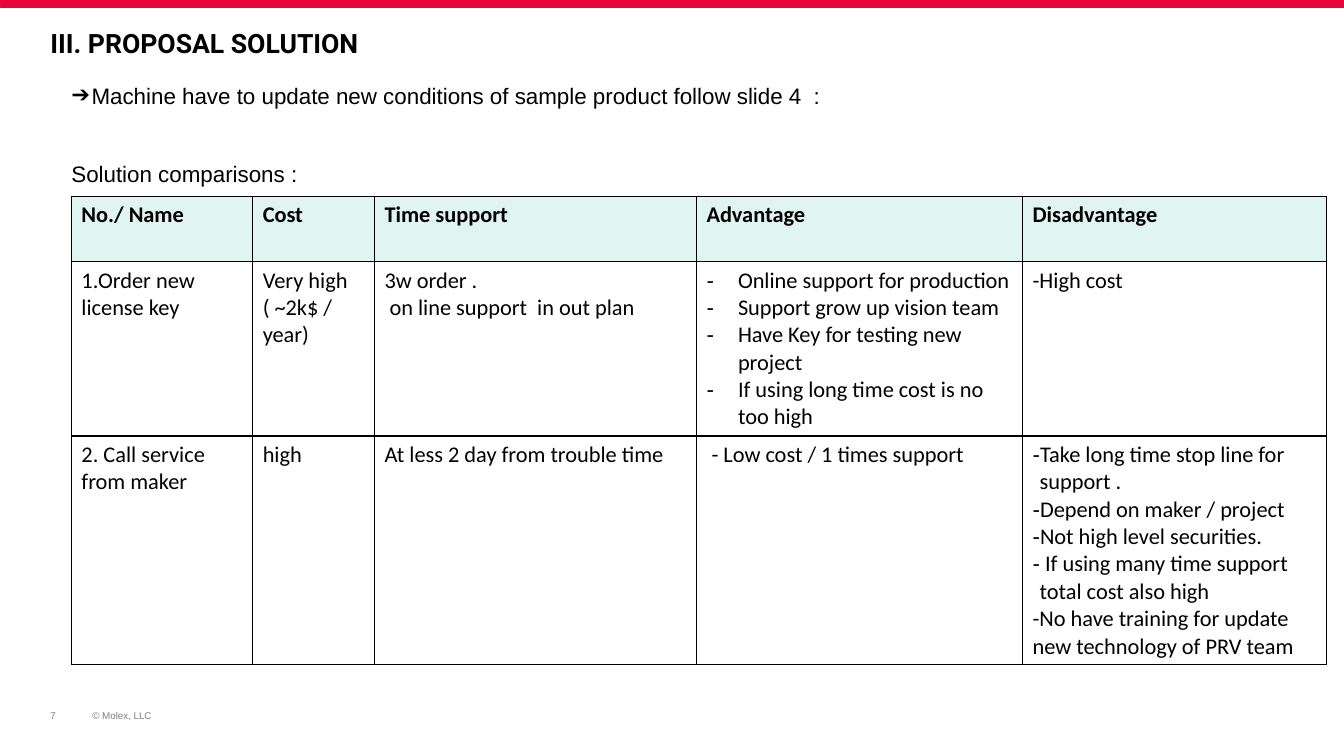
from dataclasses import dataclass

from lxml import etree
from pptx import Presentation
from pptx.dml.color import RGBColor
from pptx.enum.shapes import MSO_SHAPE
from pptx.enum.text import MSO_ANCHOR
from pptx.oxml.ns import qn
from pptx.util import Pt

RECTANGLE = MSO_SHAPE.RECTANGLE
TOP, MIDDLE, BOTTOM = MSO_ANCHOR.TOP, MSO_ANCHOR.MIDDLE, MSO_ANCHOR.BOTTOM
COLORS = {
    "accent": "EA0437",
    "text": "000000",
    "footer": "808080",
    "header": "E0F4F1",
    "border": "000000",
}


@dataclass(frozen=True)
class Style:
    font: str
    size: float
    color: str = "text"
    bold: bool = False


@dataclass(frozen=True)
class Bullet:
    mark: str
    indent: float
    tab: float = 0


@dataclass(frozen=True)
class Line:
    text: str
    bullet: Bullet | None = None


@dataclass(frozen=True)
class Label:
    line: Line
    box: tuple[float, float, float, float]
    style: Style
    anchor: MSO_ANCHOR = TOP
    spacing: float = 0
    after: float = 0
    insets: tuple[float, float, float, float] = (0, 0, 0, 0)


TITLE = Style("Roboto", 19, bold=True)
BODY = Style("Arial", 16)
FOOTER = Style("Arial", 7, "footer")
CELL = Style("Calibri", 16)
HEADING = Style("Calibri", 16, bold=True)

ARROW = Bullet("➔", 14.4)
DASH = Bullet("-", 22.5)
TIGHT_DASH = Bullet("-", 5, 22.5)

LABELS = [
    Label(Line("© Molex, LLC"), (66, 507, 360, 9), FOOTER),
    Label(Line("III. PROPOSAL SOLUTION"), (36, 16, 830, 26), TITLE, BOTTOM, spacing=20),
    Label(Line("7"), (36, 498, 30, 26), FOOTER, MIDDLE, insets=(0, 3.6, 7.2, 3.6)),
    Label(Line("Machine have to update new conditions of sample product follow slide 4  :", ARROW),
          (51, 58.5, 830, 39), BODY, after=6),
    Label(Line("Solution comparisons :"), (51, 114.5, 830, 39), BODY, after=6),
]

TABLE_LEFT, TABLE_TOP = 51, 140.4
COLUMN_WIDTHS = [129.5, 87, 230, 233, 217]
ROW_HEIGHTS = [46.5, 124.5, 163.5]
HEADINGS = ["No./ Name", "Cost", "Time support", "Advantage", "Disadvantage"]
SOLUTIONS = [
    [
        [Line("1.Order new license key")],
        [Line("Very high"), Line("( ~2k$ / year)")],
        [Line("3w order ."), Line(" on line support  in out plan")],
        [
            Line("Online support for production", DASH),
            Line("Support grow up vision team", DASH),
            Line("Have Key for testing new project", DASH),
            Line("If using long time cost is no too high", DASH),
        ],
        [Line("-High cost")],
    ],
    [
        [Line("2. Call service from maker")],
        [Line("high")],
        [Line("At less 2 day from trouble time")],
        [Line(" - Low cost / 1 times support")],
        [
            Line("Take long time stop line for support .", TIGHT_DASH),
            Line("Depend on maker / project", TIGHT_DASH),
            Line("Not high level securities.", TIGHT_DASH),
            Line(" If using many time support total cost also high", TIGHT_DASH),
            Line("-No have training for update new technology of PRV team"),
        ],
    ],
]


def rgb(name: str) -> RGBColor:
    return RGBColor.from_string(COLORS[name])


def apply(target, values: dict) -> None:
    for key, value in values.items():
        setattr(target, key, value)


def add_bullet(paragraph, bullet: Bullet) -> None:
    properties = paragraph._p.get_or_add_pPr()
    properties.set("marL", str(Pt(bullet.indent)))
    properties.set("indent", str(-Pt(bullet.indent)))
    color = etree.SubElement(properties, qn("a:buClr"))
    etree.SubElement(color, qn("a:srgbClr"), val=COLORS["text"])
    etree.SubElement(properties, qn("a:buFont"), typeface="Arial")
    etree.SubElement(properties, qn("a:buChar"), char=bullet.mark)
    if bullet.tab:
        tabs = etree.SubElement(properties, qn("a:tabLst"))
        etree.SubElement(tabs, qn("a:tab"), pos=str(Pt(bullet.tab)), algn="l")


def write_line(paragraph, line: Line, style: Style) -> None:
    if line.bullet:
        add_bullet(paragraph, line.bullet)
    run = paragraph.add_run()
    run.text = line.text
    apply(run.font, {"name": style.font, "size": Pt(style.size), "bold": style.bold})
    run.font.color.rgb = rgb(style.color)


def add_label(slide, label: Label) -> None:
    frame = slide.shapes.add_textbox(*map(Pt, label.box)).text_frame
    left, top, right, bottom = map(Pt, label.insets)
    apply(frame, {
        "word_wrap": True, "vertical_anchor": label.anchor,
        "margin_left": left, "margin_top": top,
        "margin_right": right, "margin_bottom": bottom,
    })
    paragraph = frame.paragraphs[0]
    write_line(paragraph, label.line, label.style)
    if label.spacing:
        paragraph.line_spacing = Pt(label.spacing)
    if label.after:
        paragraph.space_after = Pt(label.after)


def add_borders(cell) -> None:
    properties = cell._tc.get_or_add_tcPr()
    for side in ("lnL", "lnR", "lnT", "lnB"):
        border = etree.SubElement(properties, qn(f"a:{side}"), w=str(Pt(1)))
        fill = etree.SubElement(border, qn("a:solidFill"))
        etree.SubElement(fill, qn("a:srgbClr"), val=COLORS["border"])


def fill_cell(cell, lines: list[Line], is_heading: bool) -> None:
    add_borders(cell)
    if is_heading:
        cell.fill.solid()
        cell.fill.fore_color.rgb = rgb("header")
    else:
        cell.fill.background()
    frame = cell.text_frame
    for index, line in enumerate(lines):
        paragraph = frame.add_paragraph() if index else frame.paragraphs[0]
        write_line(paragraph, line, HEADING if is_heading else CELL)


def add_comparison(slide) -> None:
    rows = [[[Line(heading)] for heading in HEADINGS], *SOLUTIONS]
    comparison = slide.shapes.add_table(
        len(rows), len(HEADINGS), Pt(TABLE_LEFT), Pt(TABLE_TOP),
        Pt(sum(COLUMN_WIDTHS)), Pt(sum(ROW_HEIGHTS)),
    ).table
    apply(comparison, {"first_row": False, "horz_banding": False})
    for column, width in zip(comparison.columns, COLUMN_WIDTHS):
        column.width = Pt(width)
    for row_index, (row, height) in enumerate(zip(comparison.rows, ROW_HEIGHTS)):
        row.height = Pt(height)
        for cell, lines in zip(row.cells, rows[row_index]):
            fill_cell(cell, lines, row_index == 0)


def add_top_bar(slide) -> None:
    bar = slide.shapes.add_shape(RECTANGLE, Pt(0), Pt(0), Pt(960), Pt(5))
    bar.shadow.inherit = False
    bar.fill.solid()
    bar.fill.fore_color.rgb = rgb("accent")
    bar.line.color.rgb = rgb("accent")
    bar.line.width = Pt(0.5)


def main() -> None:
    deck = Presentation()
    apply(deck, {"slide_width": Pt(960), "slide_height": Pt(540)})
    slide = deck.slides.add_slide(deck.slide_layouts[6])
    add_top_bar(slide)
    for label in LABELS:
        add_label(slide, label)
    add_comparison(slide)
    deck.save("out.pptx")


if __name__ == "__main__":
    main()
